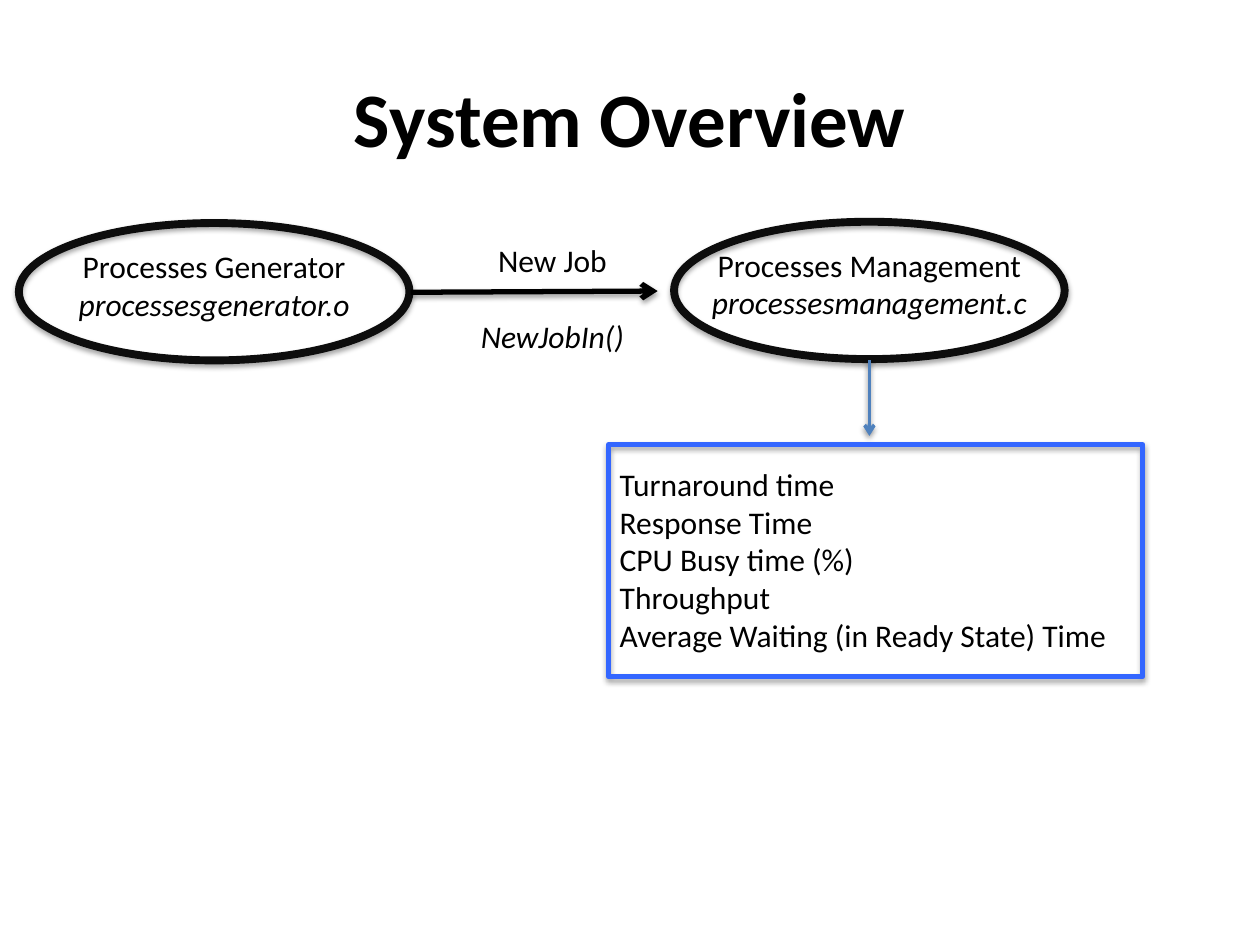
from pptx import Presentation
from pptx import util as u
from pptx.dml.color import RGBColor
from pptx.enum import shapes, text
from pptx.oxml import parse_xml
from pptx.oxml.ns import nsdecls, qn

LEFT, MID = text.PP_ALIGN.LEFT, text.PP_ALIGN.CENTER


def tint(code):
    return RGBColor.from_string(code)


def write(frame, lines, size=18, font="Calibri", color="000000",
          bold=False, slant=(), align=MID, gap=0):
    for n, line in enumerate(lines):
        para = frame.add_paragraph() if n else frame.paragraphs[0]
        para.alignment = align
        if n and gap:
            para.space_before = u.Pt(gap)
        run = para.add_run()
        run.text = line
        run.font.size = u.Pt(size)
        run.font.name = font
        run.font.color.rgb = tint(color)
        run.font.bold = bold
        run.font.italic = n in slant


class Deck:
    blur, drop = 3.1, 1.8

    def __init__(self):
        self.show = Presentation()
        self.show.slide_width = u.Inches(10)
        self.show.slide_height = u.Inches(7.5)
        self.slide = self.show.slides.add_slide(self.show.slide_layouts[6])

    def shade(self, item, drop, alpha):
        item._element.spPr.append(parse_xml(
            f'<a:effectLst {nsdecls("a")}><a:outerShdw '
            f'blurRad="{u.Pt(self.blur)}" dist="{u.Pt(drop)}" '
            f'dir="5400000" rotWithShape="0"><a:srgbClr val="000000">'
            f'<a:alpha val="{alpha * 1000}"/></a:srgbClr>'
            f'</a:outerShdw></a:effectLst>'))

    def stroke(self, item, color, width):
        item.line.color.rgb = tint(color)
        item.line.width = u.Pt(width)

    def frame(self, kind, box, color, width):
        item = self.slide.shapes.add_shape(kind, *map(u.Inches, box))
        item.fill.background()
        self.stroke(item, color, width)
        self.shade(item, self.drop, 35)

    def arrow(self, start, end, color, width):
        item = self.slide.shapes.add_connector(
            shapes.MSO_CONNECTOR.STRAIGHT, *map(u.Inches, start + end))
        self.stroke(item, color, width)
        line = item._element.spPr.find(qn("a:ln"))
        line.append(parse_xml(f'<a:tailEnd {nsdecls("a")} type="arrow"/>'))
        self.shade(item, 1.6, 38)

    def label(self, box, lines, wrap=False, anchor=text.MSO_ANCHOR.TOP, **style):
        item = self.slide.shapes.add_textbox(*map(u.Inches, box))
        item.text_frame.word_wrap = wrap
        item.text_frame.vertical_anchor = anchor
        write(item.text_frame, lines, **style)

    def node(self, left, top, lines, wide):
        span = 3.1
        self.frame(shapes.MSO_SHAPE.OVAL, (left, top, span, 1.09), "0D0D0D", 4.5)
        self.label((left + (span - wide) / 2, top + 0.14, wide, 0.71),
                   lines, slant=(1,))


def main():
    deck = Deck()
    deck.label((0.5, 0.3, 9, 1.25), ["System Overview"], wrap=True,
               anchor=text.MSO_ANCHOR.MIDDLE, size=44, bold=True)
    deck.node(0.15, 1.77, ["Processes Generator", "processesgenerator.o"], 2.46)
    deck.node(5.35, 1.76, ["Processes Management", "processesmanagement.c"], 2.79)
    deck.arrow((3.26, 2.32), (5.22, 2.31), "000000", 3)
    deck.label((3.68, 1.86, 1.41, 1.01), ["New Job", "NewJobIn()"],
               slant=(1,), gap=22)
    deck.arrow((6.9, 2.86), (6.9, 3.46), "4F81BD", 2)
    deck.frame(shapes.MSO_SHAPE.RECTANGLE, (4.83, 3.53, 4.24, 1.84), "3366FF", 3)
    deck.label((4.82, 3.64, 4.14, 1.92),
               ["Turnaround time", "Response Time", "CPU Busy time (%)",
                "Throughput", "Average Waiting (in Ready State) Time"],
               align=LEFT)
    deck.show.save("out.pptx")


if __name__ == "__main__":
    main()
